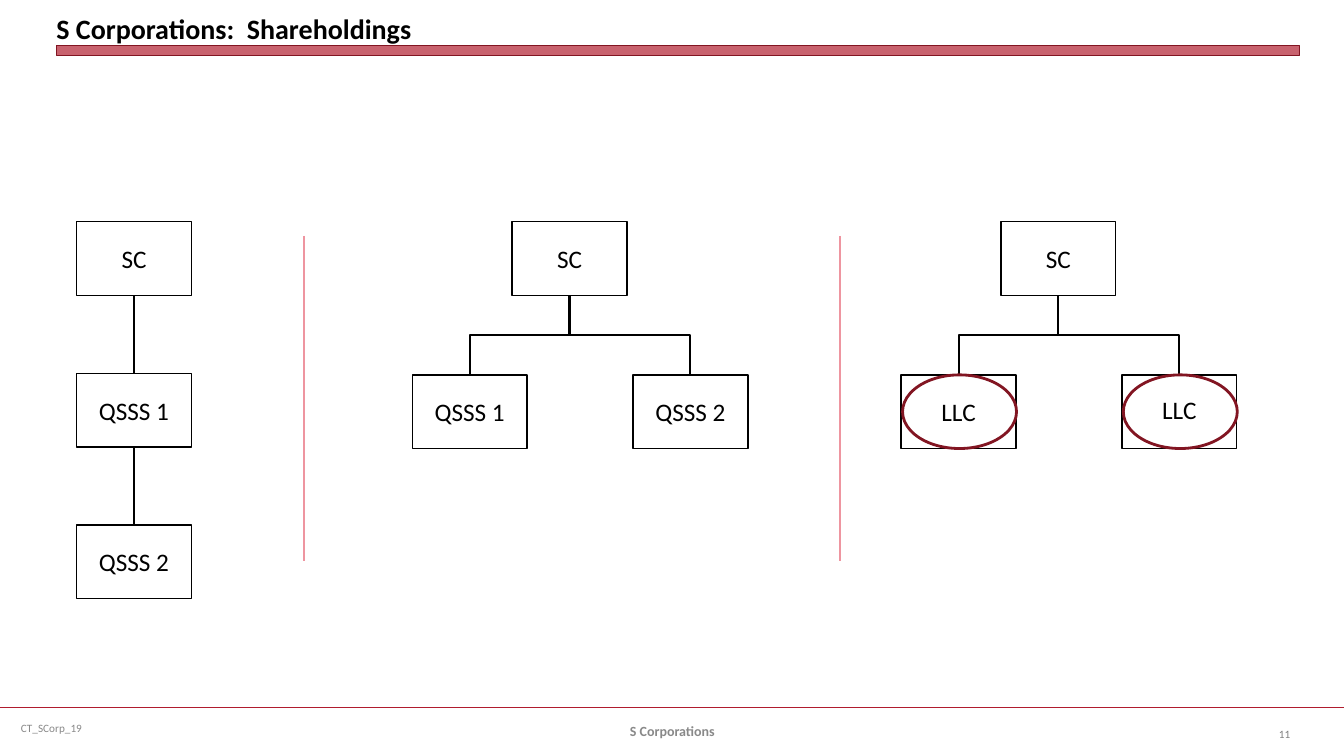
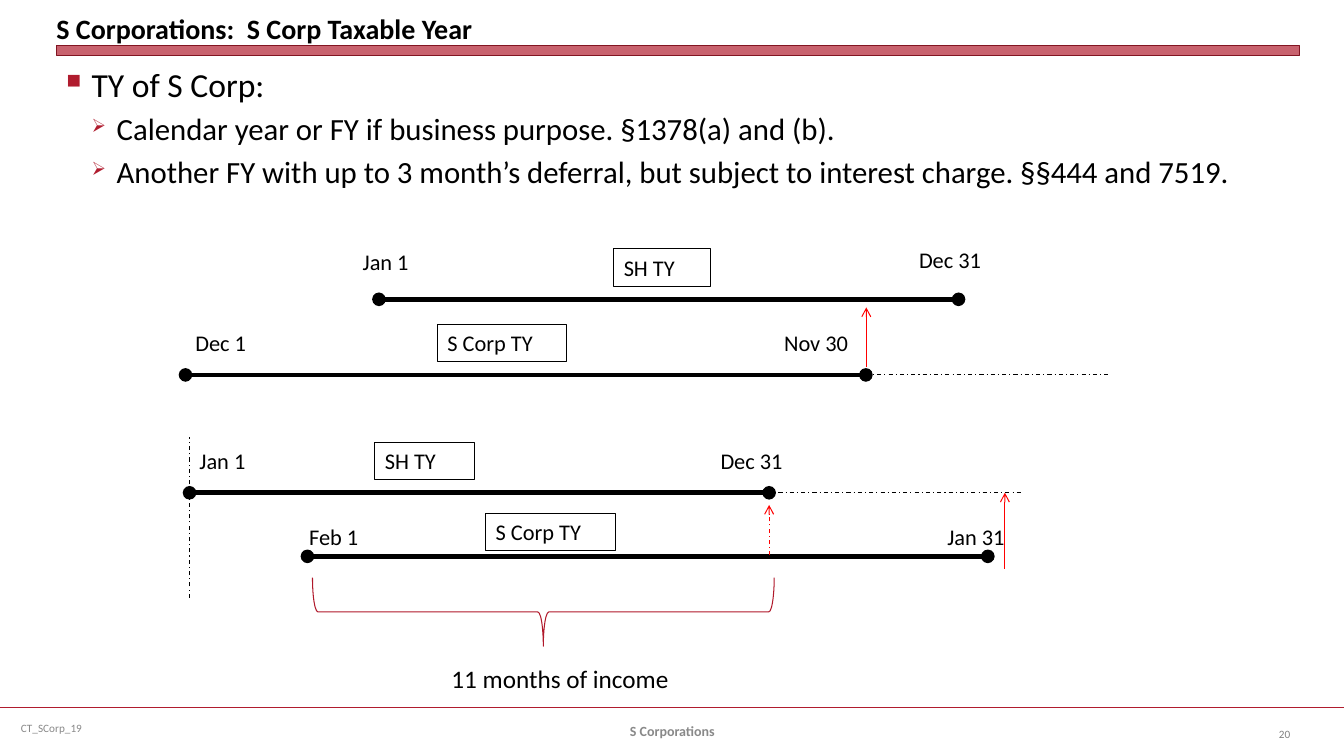
from dataclasses import dataclass

from lxml import etree
from pptx import Presentation
from pptx.dml.color import RGBColor
from pptx.enum.dml import MSO_LINE
from pptx.enum.shapes import MSO_CONNECTOR, MSO_SHAPE
from pptx.enum.text import MSO_ANCHOR, MSO_AUTO_SIZE, PP_ALIGN
from pptx.oxml.ns import qn
from pptx.util import Pt

STRAIGHT, ELBOW = MSO_CONNECTOR.STRAIGHT, MSO_CONNECTOR.ELBOW
RECT, OVAL, BRACE = MSO_SHAPE.RECTANGLE, MSO_SHAPE.OVAL, MSO_SHAPE.LEFT_BRACE
DASH_DOT = MSO_LINE.DASH_DOT
TOP, MIDDLE, BOTTOM = MSO_ANCHOR.TOP, MSO_ANCHOR.MIDDLE, MSO_ANCHOR.BOTTOM
LEFT, CENTER, RIGHT, JUSTIFY = PP_ALIGN.LEFT, PP_ALIGN.CENTER, PP_ALIGN.RIGHT, PP_ALIGN.JUSTIFY
GROW, FIXED = MSO_AUTO_SIZE.SHAPE_TO_FIT_TEXT, MSO_AUTO_SIZE.NONE
SIDE_TOP, SIDE_BOTTOM = 0, 2


@dataclass(frozen=True)
class Theme:
    font: str = "Calibri"
    ink: str = "000000"
    accent: str = "B01C2E"
    accent_dark: str = "821522"
    divider: str = "EE95A0"
    brace: str = "B0182A"
    arrow: str = "FF0000"
    footer: str = "898989"
    page: str = "808080"
    title_size: int = 20
    body_sizes: tuple = (24, 22)
    node_size: int = 18
    label_size: int = 16
    footer_size: int = 10
    small_size: int = 8


THEME = Theme()
SLIDE_W, SLIDE_H = 960, 540
MARGIN, CONTENT_W = 40.3, 887.8
FOOTER_Y = 505.4
FOOTER_CODE, FOOTER_NAME = "CT_SCorp_19", "S Corporations"

HOLDINGS_TITLE, HOLDINGS_PAGE = "S Corporations:  Shareholdings", "11"
NODE_W, NODE_H, ROOT_Y = 82, 52.6, 158.4
CHAIN = ["SC", "QSSS 1", "QSSS 2"]
CHAIN_X, CHAIN_STEP = 54.7, 108.3
TREES = [
    dict(x=365.8, root="SC", children=["QSSS 1", "QSSS 2"], ovals=False),
    dict(x=715, root="SC", children=["LLC", ""], ovals=True),
]
CHILD_OFFSETS, CHILD_Y = (-71.3, 86.4), 267.8
DIVIDERS, DIVIDER_TOP, DIVIDER_END = (217.4, 599.8), 168.5, 401
LOOSE_LLC = ("LLC", 823, 277.9, 39.6, 28.8)

YEAR_TITLE, YEAR_PAGE = "S Corporations:  S Corp Taxable Year", "20"
BULLETS = [
    (0, "TY of S Corp:"),
    (1, "Calendar year or FY if business purpose. §1378(a) and (b)."),
    (1, "Another FY with up to 3 month’s deferral, but subject to interest charge. §§444 and 7519."),
]
BULLET_CHARS = ("■", "➢")
YEAR_SPANS = {"SH TY": 414, "S Corp TY": 486}
YEARS = [
    dict(name="SH TY", x=270.7, y=213.8, tag=(438.5, 177.8, 69.1),
         dates=[("Jan 1", 252, 173.5, 47.5), ("Dec 31", 649.4, 172.1, 59.8)]),
    dict(name="S Corp TY", x=132.5, y=267.8, tag=(312.5, 231.8, 92.5),
         dates=[("Dec 1", 132.5, 231.8, 51.1), ("Nov 30", 553, 231.8, 61.2)]),
    dict(name="SH TY", x=135.4, y=352, tag=(267.8, 316.1, 71.3),
         dates=[("Jan 1", 135.4, 316.1, 47.5), ("Dec 31", 507.6, 316.1, 59.8)]),
    dict(name="S Corp TY", x=219.6, y=397.4, tag=(347, 366.5, 92.5),
         dates=[("Feb 1", 213.8, 370.1, 50.4), ("Jan 31", 669.6, 370.1, 56.2)]),
]
LABEL_H = 26.6
GUIDES = [(556, 352, 729.4, 352), (618.5, 267.8, 792.7, 267.8), (135.4, 427, 135.4, 312.5)]
DEFERRALS = [
    (618.8, 262.1, 618.8, 219.6, None),
    (717.8, 406.1, 717.8, 352, None),
    (549.4, 396.7, 549.4, 360.7, DASH_DOT),
]
INCOME_BRACE = (363.6, 272.2, 49, 329.8)
INCOME = ("11 months of income", 315.4, 470.2, 171.4, 28.8)


def rgb(color):
    return RGBColor.from_string(color)


def add_run(paragraph, text, size, color=THEME.ink, bold=False):
    run = paragraph.add_run()
    run.text = text
    run.font.name = THEME.font
    run.font.size = Pt(size)
    run.font.bold = bold
    run.font.color.rgb = rgb(color)


def add_label(slide, text, x, y, w, h, size, color=THEME.ink, bold=False, align=LEFT,
              anchor=TOP, wrap=True, grow=False, inset=True):
    box = slide.shapes.add_textbox(Pt(x), Pt(y), Pt(w), Pt(h))
    frame = box.text_frame
    frame.word_wrap = wrap
    frame.auto_size = GROW if grow else FIXED
    frame.vertical_anchor = anchor
    if not inset:
        frame.margin_left = frame.margin_right = frame.margin_top = frame.margin_bottom = 0
    frame.paragraphs[0].alignment = align
    add_run(frame.paragraphs[0], text, size, color, bold)
    return box


def add_outline(slide, kind, x, y, w, h, color, weight):
    shape = slide.shapes.add_shape(kind, Pt(x), Pt(y), Pt(w), Pt(h))
    shape.shadow.inherit = False
    shape.fill.background()
    shape.line.color.rgb = rgb(color)
    shape.line.width = Pt(weight)
    return shape


def add_line(slide, x1, y1, x2, y2, color, weight, dash=None, head=None, tail=None, kind=STRAIGHT):
    line = slide.shapes.add_connector(kind, Pt(x1), Pt(y1), Pt(x2), Pt(y2))
    line.line.color.rgb = rgb(color)
    line.line.width = Pt(weight)
    if dash is not None:
        line.line.dash_style = dash
    stroke = line.line._get_or_add_ln()
    for tag, end in (("a:headEnd", head), ("a:tailEnd", tail)):
        if end:
            etree.SubElement(stroke, qn(tag), type=end)
    etree.SubElement(line._element.spPr, qn("a:effectLst"))
    return line


def new_slide(deck, title, page):
    slide = deck.slides.add_slide(deck.slide_layouts[6])
    add_line(slide, 0, FOOTER_Y, SLIDE_W, FOOTER_Y, THEME.accent, 1.25)
    add_label(slide, FOOTER_CODE, 7.9, FOOTER_Y, 247.7, 28.8, THEME.small_size,
              THEME.footer, anchor=MIDDLE)
    add_label(slide, FOOTER_NAME, 328.3, 507.6, 303.8, 28.8, THEME.footer_size,
              THEME.footer, bold=True, align=CENTER, anchor=MIDDLE)
    add_label(slide, page, 880.6, 509.8, 48.2, 28.8, THEME.small_size,
              THEME.page, align=RIGHT, anchor=MIDDLE)
    band = add_outline(slide, RECT, MARGIN, 32.4, CONTENT_W, 7.2, THEME.accent_dark, 0)
    band.fill.solid()
    band.fill.fore_color.rgb = rgb(THEME.accent)
    band_color = band._element.spPr.find(qn("a:solidFill"))[0]
    etree.SubElement(band_color, qn("a:alpha"), val="69000")
    add_label(slide, title, MARGIN, 3.6, CONTENT_W, 28.8, THEME.title_size,
              bold=True, anchor=BOTTOM, inset=False)
    return slide


def add_node(slide, text, x, y):
    node = add_outline(slide, RECT, x, y, NODE_W, NODE_H, THEME.ink, 1)
    if text:
        frame = node.text_frame
        frame.vertical_anchor = MIDDLE
        frame.paragraphs[0].alignment = CENTER
        add_run(frame.paragraphs[0], text, THEME.node_size)
    return node


def join(slide, parent, child, kind):
    link = add_line(slide, 0, 0, 0, 0, THEME.ink, 1.5, kind=kind)
    link.begin_connect(parent, SIDE_BOTTOM)
    link.end_connect(child, SIDE_TOP)
    return link


def join_branch(slide, parent, child):
    link = join(slide, parent, child, ELBOW)
    x1, x2 = (node.left + node.width // 2 for node in (parent, child))
    y1, y2 = parent.top + parent.height, child.top
    link.width, link.height = y2 - y1, abs(x2 - x1)
    link.left = (x1 + x2 - link.width) // 2
    link.top = (y1 + y2 - link.height) // 2
    rightward = x2 > x1
    frame = link._element.spPr.find(qn("a:xfrm"))
    frame.set("rot", str((270 if rightward else 90) * 60000))
    frame.set("flipH", "1" if rightward else "0")
    frame.set("flipV", "0")


def build_holdings(deck):
    slide = new_slide(deck, HOLDINGS_TITLE, HOLDINGS_PAGE)
    chain = [add_node(slide, name, CHAIN_X, ROOT_Y + i * CHAIN_STEP) for i, name in enumerate(CHAIN)]
    for parent, child in zip(chain, chain[1:]):
        join(slide, parent, child, STRAIGHT)
    for tree in TREES:
        root = add_node(slide, tree["root"], tree["x"], ROOT_Y)
        for name, offset in zip(tree["children"], CHILD_OFFSETS):
            x = tree["x"] + offset
            join_branch(slide, root, add_node(slide, name, x, CHILD_Y))
            if tree["ovals"]:
                add_outline(slide, OVAL, x + 1, CHILD_Y, NODE_W - 0.6, NODE_H, THEME.accent_dark, 2)
    for x in DIVIDERS:
        add_line(slide, x, DIVIDER_TOP, x, DIVIDER_END, THEME.divider, 1.5)
    add_label(slide, *LOOSE_LLC, THEME.node_size, wrap=False, grow=True)


def add_bullets(slide):
    box = slide.shapes.add_textbox(Pt(MARGIN), Pt(41.8), Pt(CONTENT_W), Pt(457.9))
    frame = box.text_frame
    frame.word_wrap = True
    for i, (level, text) in enumerate(BULLETS):
        paragraph = frame.add_paragraph() if i else frame.paragraphs[0]
        props = paragraph._p.get_or_add_pPr()
        props.set("marL", str(Pt(18 * (level + 1))))
        props.set("indent", str(-Pt(18)))
        color = etree.SubElement(props, qn("a:buClr"))
        etree.SubElement(color, qn("a:srgbClr"), val=THEME.accent)
        etree.SubElement(props, qn("a:buSzPct"), val="60000")
        etree.SubElement(props, qn("a:buChar"), char=BULLET_CHARS[level])
        paragraph.level = level
        paragraph.alignment = JUSTIFY
        if i:
            paragraph.space_before = Pt(4.4)
        add_run(paragraph, text, THEME.body_sizes[level])


def build_taxable_year(deck):
    slide = new_slide(deck, YEAR_TITLE, YEAR_PAGE)
    add_bullets(slide)
    for year in YEARS:
        x, y, name = year["x"], year["y"], year["name"]
        add_line(slide, x, y, x + YEAR_SPANS[name], y, THEME.ink, 3.25, head="oval", tail="oval")
        tag = add_label(slide, name, *year["tag"], LABEL_H, THEME.label_size, grow=True)
        tag.line.color.rgb = rgb(THEME.ink)
        tag.line.width = Pt(0.75)
        for date in year["dates"]:
            add_label(slide, *date, LABEL_H, THEME.label_size, wrap=False, grow=True)
    for guide in GUIDES:
        add_line(slide, *guide, THEME.ink, 0.75, dash=DASH_DOT)
    for *ends, dash in DEFERRALS:
        add_line(slide, *ends, THEME.arrow, 0.75, dash=dash, tail="arrow")
    brace = add_outline(slide, BRACE, *INCOME_BRACE, THEME.brace, 0.75)
    brace.rotation = 270
    brace.adjustments[0], brace.adjustments[1] = 0.08, 0.5
    add_label(slide, *INCOME, THEME.node_size, wrap=False, grow=True)


def main():
    deck = Presentation()
    deck.slide_width, deck.slide_height = Pt(SLIDE_W), Pt(SLIDE_H)
    build_holdings(deck)
    build_taxable_year(deck)
    deck.save("out.pptx")


if __name__ == "__main__":
    main()
